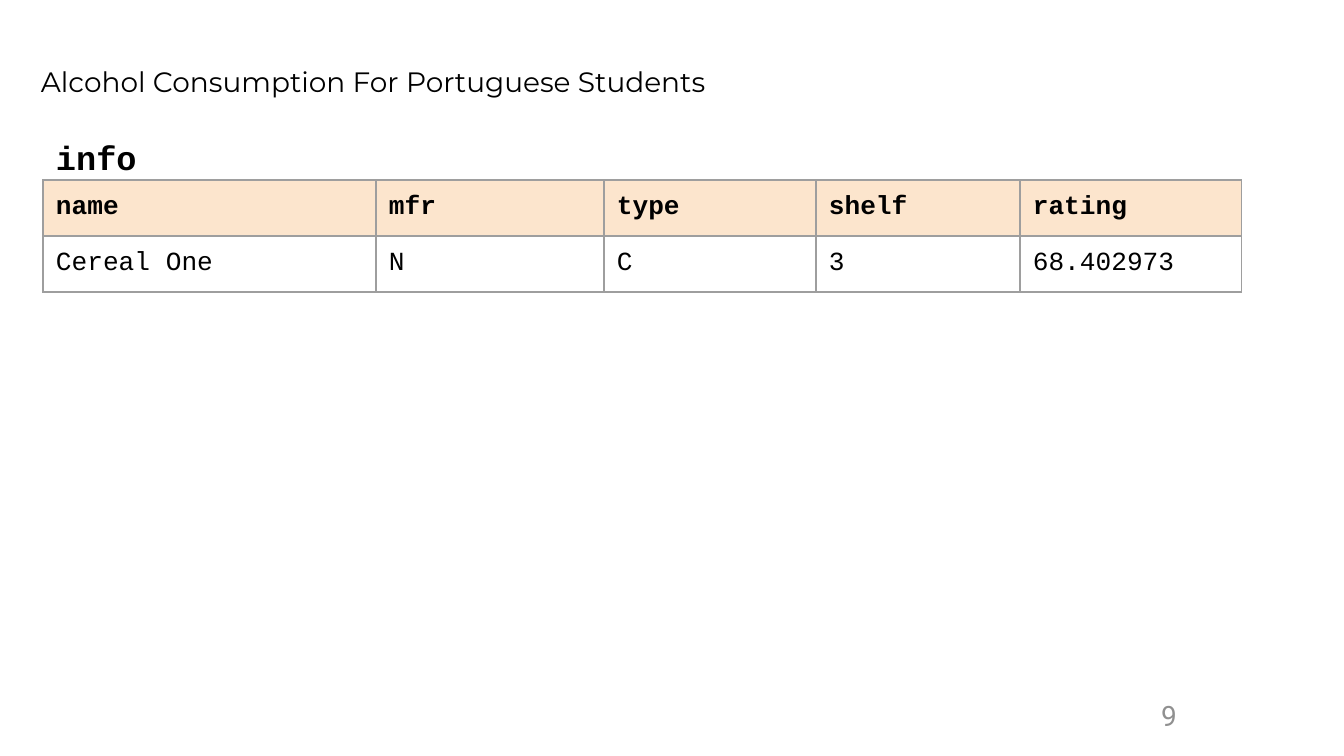
"""Build the slide that shows the info table for the student alcohol study."""
from lxml import etree
from pptx import Presentation
from pptx import util as u
from pptx.dml.color import RGBColor
from pptx.enum import text
from pptx.oxml import ns

PX = 914400 / 134.4
BLACK = RGBColor(0x00, 0x00, 0x00)
GREY = RGBColor(0x90, 0x90, 0x90)
BORDER = RGBColor(0x9E, 0x9E, 0x9E)
PEACH = RGBColor(0xFC, 0xE5, 0xCD)
MONO = "Courier New"
COLUMNS = [333, 228, 212, 204, 222]
ROW_HEIGHT = 56
ROWS = [
    ["name", "mfr", "type", "shelf", "rating"],
    ["Cereal One", "N", "C", "3", "68.402973"],
]


def px(n):
    return u.Emu(round(n * PX))


def write(tf, words, font=MONO, size=14, color=BLACK, bold=False,
          align=text.PP_ALIGN.LEFT):
    p = tf.paragraphs[0]
    p.alignment = align
    r = p.add_run()
    r.text = words
    r.font.name = font
    r.font.size = u.Pt(size)
    r.font.bold = bold
    r.font.color.rgb = color


def set_frame(tf, x_inset, y_inset, anchor):
    tf.word_wrap = True
    tf.auto_size = text.MSO_AUTO_SIZE.NONE
    tf.margin_left = tf.margin_right = px(x_inset)
    tf.margin_top = tf.margin_bottom = px(y_inset)
    tf.vertical_anchor = anchor


def add_title(s, words, x, y, w, h):
    sp = s.shapes.title
    sp.left, sp.top, sp.width, sp.height = map(px, (x, y, w, h))
    set_frame(sp.text_frame, 5, 2, text.MSO_ANCHOR.TOP)
    write(sp.text_frame, words, font="Montserrat", size=15)


def add_label(s, words, x, y, w, h, **style):
    sp = s.shapes.add_textbox(*map(px, (x, y, w, h)))
    set_frame(sp.text_frame, 13, 13, text.MSO_ANCHOR.MIDDLE)
    write(sp.text_frame, words, **style)


def add_borders(cell):
    tc_pr = cell._tc.get_or_add_tcPr()
    for side in ("lnL", "lnR", "lnT", "lnB"):
        ln = etree.SubElement(tc_pr, ns.qn(f"a:{side}"), w=str(u.Pt(0.75)))
        fill = etree.SubElement(ln, ns.qn("a:solidFill"))
        etree.SubElement(fill, ns.qn("a:srgbClr"), val=str(BORDER))


def fill_cell(cell, words, header):
    cell.margin_left = cell.margin_right = px(13)
    cell.margin_top = cell.margin_bottom = px(13)
    cell.vertical_anchor = text.MSO_ANCHOR.TOP
    add_borders(cell)
    if header:
        cell.fill.solid()
        cell.fill.fore_color.rgb = PEACH
    else:
        cell.fill.background()
    write(cell.text_frame, words, bold=header)


def add_table(s, rows, x, y):
    box = (x, y, sum(COLUMNS), ROW_HEIGHT * len(rows))
    table = s.shapes.add_table(len(rows), len(COLUMNS), *map(px, box)).table
    table.first_row = table.horz_banding = False
    for column, width in zip(table.columns, COLUMNS):
        column.width = px(width)
    for i, row in enumerate(rows):
        table.rows[i].height = px(ROW_HEIGHT)
        for j, words in enumerate(row):
            fill_cell(table.cell(i, j), words, header=i == 0)


def main():
    prs = Presentation()
    prs.slide_width, prs.slide_height = px(1344), px(756)
    s = prs.slides.add_slide(prs.slide_layouts[5])
    add_title(s, "Alcohol Consumption For Portuguese Students", 36, 62, 863, 39)
    add_table(s, ROWS, 43, 180)
    add_label(s, "info", 43, 134, 280, 47, size=18, bold=True)
    add_label(s, "9", 1137, 696, 64, 39, font="Roboto", size=15, color=GREY,
              align=text.PP_ALIGN.CENTER)
    prs.save("out.pptx")


if __name__ == "__main__":
    main()
